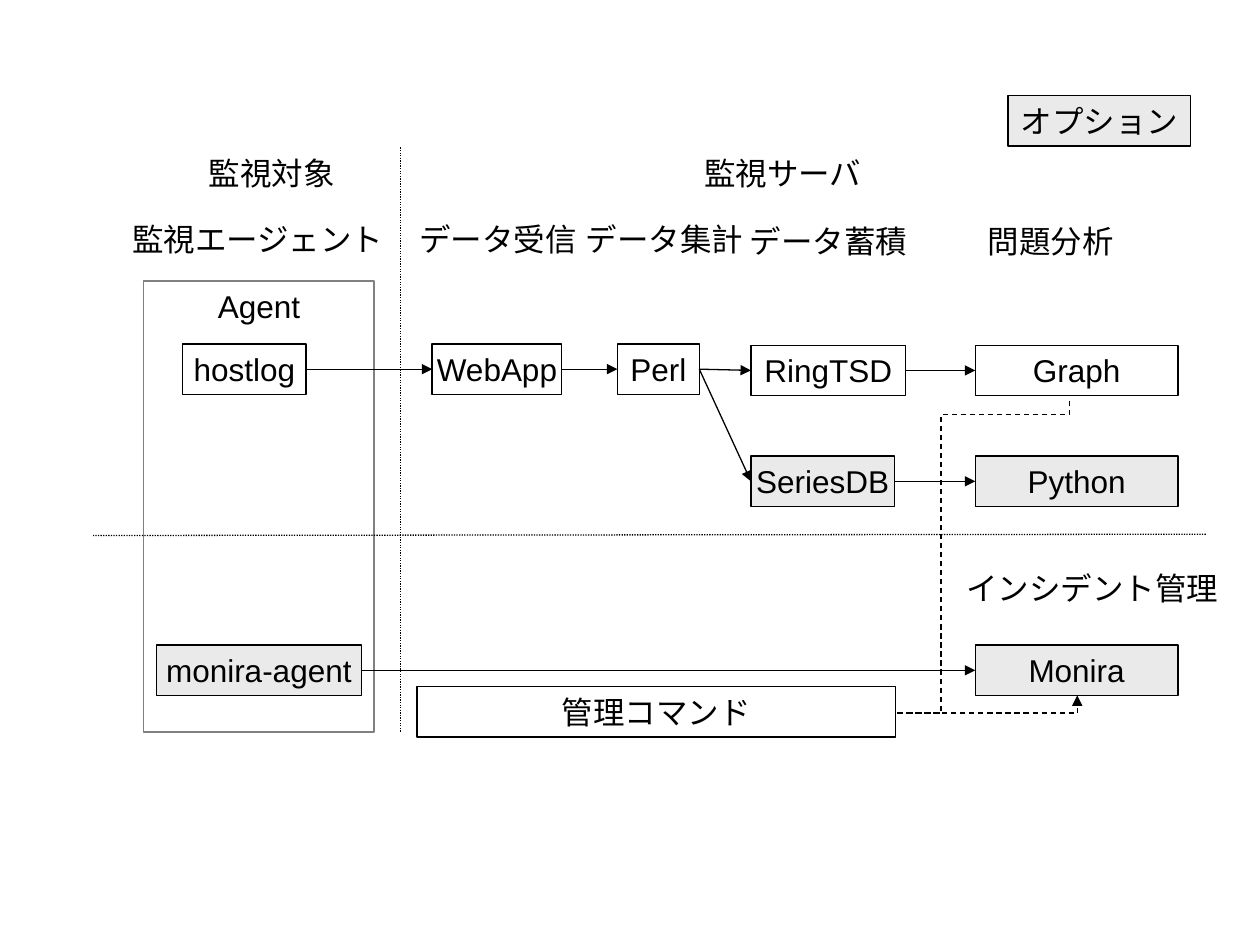
from lxml.etree import SubElement
from pptx import Presentation
from pptx.dml.color import RGBColor
from pptx.enum.dml import MSO_LINE
from pptx.enum.shapes import MSO_CONNECTOR, MSO_SHAPE
from pptx.enum.text import MSO_ANCHOR, PP_ALIGN
from pptx.oxml.ns import qn
from pptx.util import Inches, Pt


class Theme:
    ink = RGBColor(0, 0, 0)
    frame = RGBColor(0x80, 0x80, 0x80)
    optional = RGBColor(0xEA, 0xEA, 0xEA)
    latin = "Arial"
    japanese = "Noto Sans CJK JP"
    size = Pt(18)
    line = Pt(0.74)


ROW = 0.4
LEFT_SITE, RIGHT_SITE = 1, 3

# Headings: text, left, top, width
HEADINGS = [
    ("監視対象", 1.56, 1.17, 1.2),
    ("監視サーバ", 5.49, 1.17, 1.45),
    ("監視エージェント", 0.95, 1.7, 2.2),
    ("データ受信", 3.23, 1.7, 1.45),
    ("データ集計", 4.55, 1.7, 1.45),
    ("データ蓄積", 5.85, 1.71, 1.45),
    ("問題分析", 7.74, 1.71, 1.2),
    ("インシデント管理", 7.57, 4.47, 2.2),
]

# Boxes: key, text, left, top, width, optional
BOXES = [
    ("collector", "hostlog", 1.45, 2.73, 0.98, False),
    ("summary", "Perl", 4.9, 2.73, 0.65, False),
    ("receiver", "WebApp", 3.43, 2.73, 1.03, False),
    ("store", "RingTSD", 5.96, 2.74, 1.23, False),
    ("graph", "Graph", 7.74, 2.74, 1.61, False),
    ("command", "管理コマンド", 3.31, 5.45, 3.8, False),
    ("agent", "monira-agent", 1.24, 5.12, 1.63, True),
    ("incident", "Monira", 7.74, 5.12, 1.61, True),
    ("series", "SeriesDB", 5.96, 3.62, 1.14, True),
    ("analysis", "Python", 7.74, 3.62, 1.61, True),
    ("legend", "オプション", 8, 0.76, 1.45, True),
]
ARROWS = [
    ("collector", "receiver"), ("receiver", "summary"), ("summary", "store"),
    ("store", "graph"), ("summary", "series"), ("series", "analysis"),
    ("agent", "incident"),
]
DIVIDERS = [(3.18, 1.17, 3.18, 5.81), (9.57, 4.24, 0.74, 4.25)]
FEEDBACK = [(7.13, 5.66), (7.47, 5.66), (7.47, 3.29), (8.49, 3.29), (8.49, 3.16)]

presentation = Presentation()
presentation.slide_width, presentation.slide_height = Inches(10), Inches(7.5)
slide = presentation.slides.add_slide(presentation.slide_layouts[6])
shapes = slide.shapes


def write(shape, text, font_name, alignment):
    frame = shape.text_frame
    frame.word_wrap = False
    frame.vertical_anchor = MSO_ANCHOR.TOP
    paragraph = frame.paragraphs[0]
    paragraph.text = text
    paragraph.alignment = alignment
    font = paragraph.font
    font.name, font.size, font.color.rgb = font_name, Theme.size, Theme.ink
    SubElement(font._element, qn("a:ea"), typeface=Theme.japanese)


def style_line(line, color=Theme.ink, dash=None):
    line.color.rgb, line.width = color, Theme.line
    if dash:
        line.dash_style = dash


def add_box(text, left, top, width, height, fill=None, color=Theme.ink):
    shape = shapes.add_shape(MSO_SHAPE.RECTANGLE, Inches(left), Inches(top),
                             Inches(width), Inches(height))
    shape.shadow.inherit = False
    if fill is None:
        shape.fill.background()
    else:
        shape.fill.solid()
        shape.fill.fore_color.rgb = fill
    style_line(shape.line, color)
    write(shape, text, Theme.latin, PP_ALIGN.CENTER)
    return shape


def add_line(kind, points=(0, 0, 0, 0), dash=None, arrow=False):
    connector = shapes.add_connector(kind, *map(Inches, points))
    style_line(connector.line, dash=dash)
    if arrow:
        SubElement(connector.line._get_or_add_ln(), qn("a:tailEnd"), type="triangle")
    SubElement(connector._element.spPr, qn("a:effectLst"))
    return connector


# Headings
for text, left, top, width in HEADINGS:
    heading = shapes.add_textbox(Inches(left), Inches(top), Inches(width), Inches(ROW))
    write(heading, text, Theme.japanese, PP_ALIGN.LEFT)

# Components and the agent frame
boxes = {
    key: add_box(text, left, top, width, ROW, Theme.optional if optional else None)
    for key, text, left, top, width, optional in BOXES
}
add_box("Agent", 1.14, 2.23, 1.83, 3.58, color=Theme.frame)

# Dividers
for points in DIVIDERS:
    add_line(MSO_CONNECTOR.STRAIGHT, points, MSO_LINE.ROUND_DOT)

# Data flow
for source, target in ARROWS:
    arrow = add_line(MSO_CONNECTOR.STRAIGHT, arrow=True)
    arrow.begin_connect(boxes[source], RIGHT_SITE)
    arrow.end_connect(boxes[target], LEFT_SITE)

# Dashed command paths
elbow = add_line(MSO_CONNECTOR.ELBOW, (7.12, 5.66, 8.55, 5.52), MSO_LINE.DASH, True)
elbow._element.spPr.find(qn("a:prstGeom")).set("prst", "bentConnector2")

corners = [(Inches(x), Inches(y)) for x, y in FEEDBACK]
builder = shapes.build_freeform(*corners[0])
builder.add_line_segments(corners[1:], close=False)
feedback = builder.convert_to_shape()
feedback.shadow.inherit = False
feedback.fill.background()
style_line(feedback.line, dash=MSO_LINE.DASH)

presentation.save("out.pptx")
